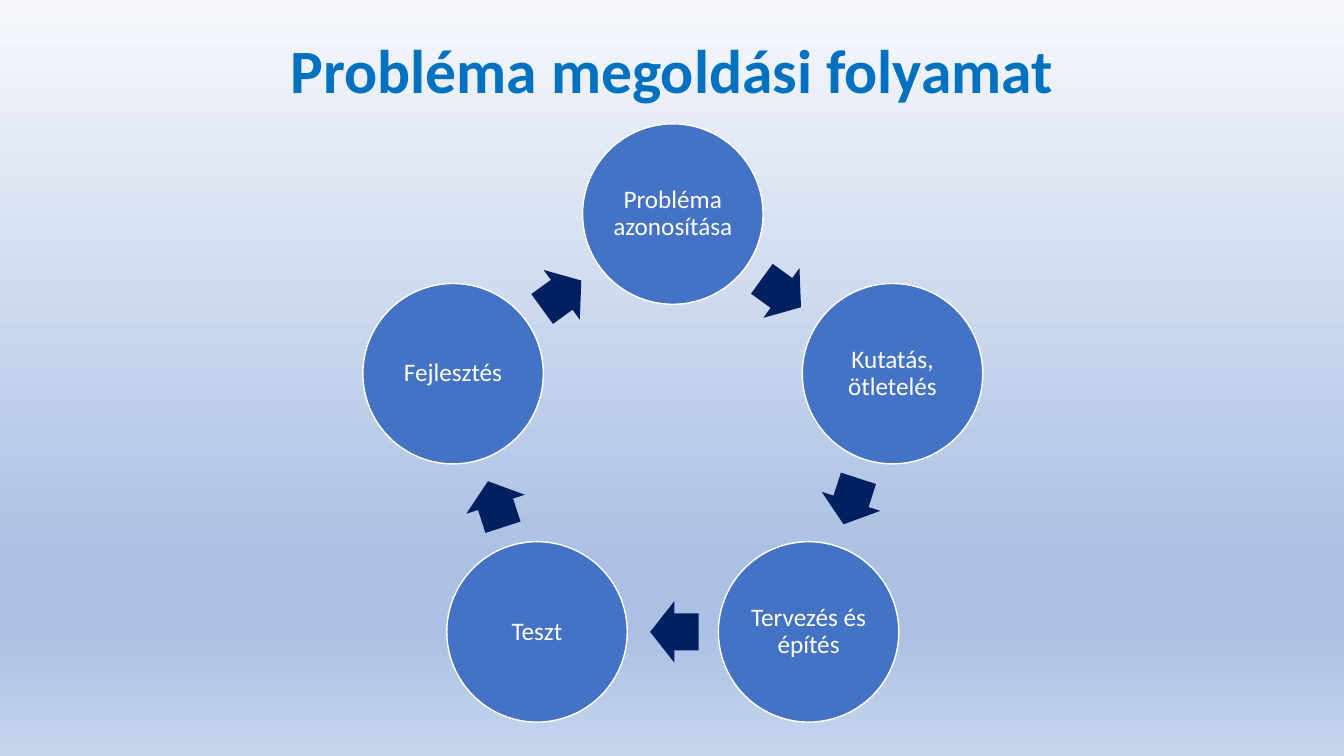
import copy
import math
from dataclasses import dataclass

from pptx import Presentation
from pptx import util as u
from pptx.dml import color
from pptx.enum import shapes, text


@dataclass(frozen=True)
class Theme:
    font: str = "Calibri"
    title: str = "0070C0"
    step: str = "4472C4"
    arrow: str = "002060"
    light: str = "FFFFFF"
    title_size: int = 44
    step_size: int = 18
    backdrop: tuple = ((0, "F6F8FC"), (74, "ABC0E4"), (83, "ABC0E4"), (100, "C7D5ED"))


@dataclass(frozen=True)
class Step:
    label: str
    angle: float  # degrees clockwise from the top of the ring


THEME = Theme()
WIDTH, HEIGHT = u.Inches(13.33), u.Inches(7.5)


def across(percent: float) -> int:
    return round(WIDTH * percent / 100)


def down(percent: float) -> int:
    return round(HEIGHT * percent / 100)


# Ring geometry, as shares of the slide
CENTRE_X, CENTRE_Y = across(50.06), down(58.87)
RADIUS, DIAMETER = down(30.55), down(23.87)
ARROW_LENGTH, ARROW_BREADTH, ARROW_SETBACK = down(6.4), down(8.13), down(0.2)

LABELS = ("Probléma azonosítása", "Kutatás, ötletelés", "Tervezés és építés",
          "Teszt", "Fejlesztés")
TURN = 360 / len(LABELS)
STEPS = [Step(label, i * TURN) for i, label in enumerate(LABELS)]


def ring_point(angle: float, radius: float) -> tuple[float, float]:
    turn = math.radians(angle)
    return CENTRE_X + radius * math.sin(turn), CENTRE_Y - radius * math.cos(turn)


def paint_background(slide) -> None:
    fill = slide.background.fill
    fill.gradient()
    fill.gradient_angle = 270
    stops = fill.gradient_stops[0]._gs.getparent()
    while len(stops) < len(THEME.backdrop):
        stops.append(copy.deepcopy(stops[0]))
    for stop, (position, tone) in zip(fill.gradient_stops, THEME.backdrop):
        stop.position = position / 100
        stop.color.rgb = color.RGBColor.from_string(tone)


def write(frame, wording: str, size: int, tone: str, bold: bool, inset: float) -> None:
    frame.text = wording
    margin = u.Inches(inset)
    frame_format = {"word_wrap": True, "auto_size": text.MSO_AUTO_SIZE.NONE,
                    "vertical_anchor": text.MSO_ANCHOR.MIDDLE,
                    "margin_left": margin, "margin_right": margin,
                    "margin_top": margin, "margin_bottom": margin}
    paragraph = frame.paragraphs[0]
    font = paragraph.runs[0].font
    formats = ((frame, frame_format),
               (paragraph, {"alignment": text.PP_ALIGN.CENTER, "line_spacing": 0.9}),
               (font, {"name": THEME.font, "size": u.Pt(size), "bold": bold}))
    for target, values in formats:
        for attribute, value in values.items():
            setattr(target, attribute, value)
    font.color.rgb = color.RGBColor.from_string(tone)


def add_centred(slide, kind, x: float, y: float, width: int, height: int, tone: str):
    figure = slide.shapes.add_shape(
        kind, round(x - width / 2), round(y - height / 2), width, height)
    figure.shadow.inherit = False
    figure.fill.solid()
    figure.fill.fore_color.rgb = color.RGBColor.from_string(tone)
    return figure


def draw_step(slide, step: Step) -> None:
    circle = add_centred(slide, shapes.MSO_SHAPE.OVAL, *ring_point(step.angle, RADIUS),
                         DIAMETER, DIAMETER, THEME.step)
    circle.line.color.rgb = color.RGBColor.from_string(THEME.light)
    circle.line.width = u.Pt(1)
    write(circle.text_frame, step.label, THEME.step_size, THEME.light, False, 0.03)


def draw_arrow_after(slide, step: Step) -> None:
    # Midway along the chord to the next step, set slightly back
    heading = step.angle + TURN / 2
    x, y = ring_point(heading, RADIUS * math.cos(math.radians(TURN / 2)))
    x -= ARROW_SETBACK * math.cos(math.radians(heading))
    y -= ARROW_SETBACK * math.sin(math.radians(heading))
    arrow = add_centred(slide, shapes.MSO_SHAPE.RIGHT_ARROW, x, y,
                        ARROW_LENGTH, ARROW_BREADTH, THEME.arrow)
    arrow.line.fill.background()
    arrow.adjustments[0], arrow.adjustments[1] = 0.6, 0.5
    arrow.rotation = heading


def main() -> None:
    deck = Presentation()
    deck.slide_width, deck.slide_height = WIDTH, HEIGHT
    slide = deck.slides.add_slide(deck.slide_layouts[5])
    paint_background(slide)

    # Title
    heading = slide.shapes.title
    place = {"left": across(6.9), "top": 0, "width": across(86.27), "height": down(19.33)}
    for attribute, value in place.items():
        setattr(heading, attribute, value)
    write(heading.text_frame, "Probléma megoldási folyamat",
          THEME.title_size, THEME.title, True, 0.05)

    # Cycle of steps
    for step in STEPS:
        draw_step(slide, step)
        draw_arrow_after(slide, step)

    deck.save("out.pptx")


if __name__ == "__main__":
    main()
